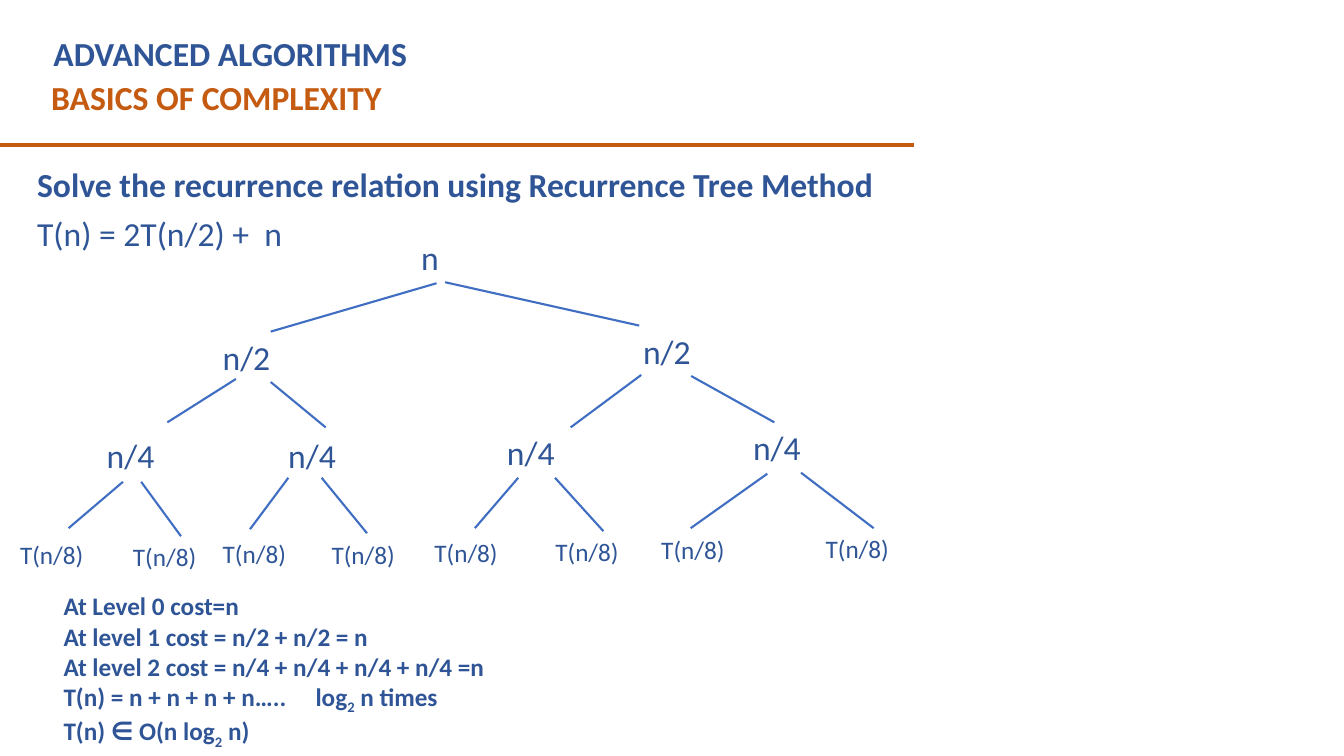
from dataclasses import dataclass

from lxml import etree
from pptx import Presentation
from pptx.dml.color import RGBColor
from pptx.enum.shapes import MSO_CONNECTOR
from pptx.enum.text import MSO_ANCHOR, MSO_AUTO_SIZE, PP_ALIGN
from pptx.oxml.ns import qn
from pptx.util import Inches, Pt

STRAIGHT = MSO_CONNECTOR.STRAIGHT
TOP, MIDDLE = MSO_ANCHOR.TOP, MSO_ANCHOR.MIDDLE
LEFT, JUSTIFY = PP_ALIGN.LEFT, PP_ALIGN.JUSTIFY
NO_AUTO_SIZE = MSO_AUTO_SIZE.NONE
TOP_SITE, BOTTOM_SITE = 0, 2

FONT = "Calibri"
BLUE, ORANGE, BRANCH_BLUE = "2F5597", "C55A11", "3F6EC2"
LOG_TAB = 2.55

Point = tuple[float, float]


@dataclass
class Node:
    """Tree node; a branch end left out is joined to the label's middle."""
    left: float
    top: float
    branch_start: Point | None = None
    branch_end: Point | None = None


@dataclass
class Level:
    label: str
    size: int
    height: float
    width: float
    nodes: list[Node]


LEVELS = [
    Level("n", 24, 0.5, 0.67, [Node(4.08, 2.3)]),
    Level("n/2", 24, 0.5, 1.15, [
        Node(2.11, 3.29, (4.33, 2.81)),
        Node(6.28, 3.23, None, (6.34, 3.23)),
    ]),
    Level("n/4", 24, 0.5, 1.15, [
        Node(0.96, 4.27, (2.34, 3.76), (1.66, 4.19)),
        Node(2.76, 4.27, None, (3.23, 4.24)),
        Node(4.93, 4.24, (6.36, 3.72), (5.66, 4.24)),
        Node(7.37, 4.19, None, (7.68, 4.19)),
    ]),
    Level("T(n/8)", 18, 0.4, 1.15, [
        Node(0.1, 5.3, (1.22, 4.78), (0.68, 5.24)),
        Node(1.22, 5.32, (1.4, 4.78)),
        Node(2.11, 5.29, (2.86, 4.74), (2.48, 5.25)),
        Node(3.19, 5.3, (3.19, 4.74), (3.64, 5.29)),
        Node(4.21, 5.28, (5.14, 4.74), (4.71, 5.24)),
        Node(5.41, 5.27),
        Node(6.46, 5.25, (7.61, 4.7), (6.85, 5.24)),
        Node(8.09, 5.24),
    ]),
]

# Every second part of a line is a subscript
COST_LINES = [
    ["At Level 0 cost=n"],
    ["At level 1 cost = n/2 + n/2 = n"],
    ["At level 2 cost = n/4 + n/4 + n/4 + n/4 =n"],
    ["T(n) = n + n + n + n…..\tlog", "2", " n times"],
    ["T(n) ∈ O(n log", "2", " n)"],
]


def color(value: str) -> RGBColor:
    return RGBColor.from_string(value)


def place(shape, left: float, top: float, width: float, height: float) -> None:
    shape.left, shape.top = Inches(left), Inches(top)
    shape.width, shape.height = Inches(width), Inches(height)


def format_frame(shape, anchor=TOP, vertical_inset: float = 0.05) -> None:
    frame = shape.text_frame
    frame.word_wrap = True
    frame.auto_size = NO_AUTO_SIZE
    frame.vertical_anchor = anchor
    frame.margin_left = frame.margin_right = Inches(0.1)
    frame.margin_top = frame.margin_bottom = Inches(vertical_inset)


def format_paragraph(paragraph, size: int, value: str = BLUE, bold: bool = False,
                     alignment=LEFT) -> None:
    paragraph.alignment = alignment
    paragraph.space_before = Pt(0)
    font = paragraph.font
    font.name, font.size, font.bold = FONT, Pt(size), bold
    font.color.rgb = color(value)


def add_label(slide, text: str, box: tuple[float, float, float, float], size: int,
              value: str = BLUE, bold: bool = False):
    label = slide.shapes.add_textbox(*map(Inches, box))
    format_frame(label)
    paragraph = label.text_frame.paragraphs[0]
    paragraph.text = text
    format_paragraph(paragraph, size, value, bold)
    return label


def add_line(slide, start: Point, end: Point, value: str, width: float):
    line = slide.shapes.add_connector(STRAIGHT, *map(Inches, (*start, *end)))
    line.line.color.rgb = color(value)
    line.line.width = Pt(width)
    etree.SubElement(line._element.spPr, qn("a:effectLst"))
    return line


def add_heading(slide) -> None:
    title = slide.shapes.title
    place(title, 0.43, 0.28, 8.2, 0.5)
    format_frame(title)
    title.text_frame.text = "ADVANCED ALGORITHMS"
    format_paragraph(title.text_frame.paragraphs[0], 24, bold=True)
    add_label(slide, "BASICS OF COMPLEXITY", (0.41, 0.71, 8.75, 0.5), 24, ORANGE, True)
    add_line(slide, (-0.01, 1.44), (9.07, 1.44), ORANGE, 3)


def add_problem(slide) -> None:
    problem = slide.shapes.add_textbox(*map(Inches, (0.17, 1.43, 9.07, 1.28)))
    format_frame(problem, MIDDLE, 0)
    problem.text_frame.text = ("Solve the recurrence relation using Recurrence Tree Method\n"
                               "T(n) = 2T(n/2) +  n")
    for index, paragraph in enumerate(problem.text_frame.paragraphs):
        format_paragraph(paragraph, 24, bold=index == 0, alignment=JUSTIFY)
        paragraph.space_after = Pt(6)
        paragraph._p.get_or_add_pPr().set("marL", str(Inches(0.1)))


def add_tree(slide) -> None:
    parents = []
    for level in LEVELS:
        labels = []
        for index, node in enumerate(level.nodes):
            box = (node.left, node.top, level.width, level.height)
            label = add_label(slide, level.label, box, level.size)
            labels.append(label)
            if not parents:
                continue
            branch = add_line(slide, node.branch_start or (0, 0),
                              node.branch_end or (0, 0), BRANCH_BLUE, 1.5)
            if node.branch_start is None:
                branch.begin_connect(parents[index // 2], BOTTOM_SITE)
            if node.branch_end is None:
                branch.end_connect(label, TOP_SITE)
        parents = labels


def add_costs(slide) -> None:
    body = slide.placeholders[1]
    place(body, 0.53, 5.81, 8.13, 1.68)
    format_frame(body)
    frame = body.text_frame
    for index, parts in enumerate(COST_LINES):
        paragraph = frame.add_paragraph() if index else frame.paragraphs[0]
        properties = paragraph._p.get_or_add_pPr()
        properties.set("marL", "0")
        properties.set("indent", "0")
        etree.SubElement(properties, qn("a:buNone"))
        if "\t" in parts[0]:
            tabs = etree.SubElement(properties, qn("a:tabLst"))
            etree.SubElement(tabs, qn("a:tab"), pos=str(Inches(LOG_TAB)), algn="l")
        format_paragraph(paragraph, 18, bold=True)
        for position, text in enumerate(parts):
            run = paragraph.add_run()
            run.text = text
            if position % 2:
                run._r.get_or_add_rPr().set("baseline", "-25000")


def main() -> None:
    presentation = Presentation()
    presentation.slide_width = Inches(13.33)
    presentation.slide_height = Inches(7.5)
    slide = presentation.slides.add_slide(presentation.slide_layouts[1])
    add_heading(slide)
    add_problem(slide)
    add_tree(slide)
    add_costs(slide)
    presentation.save("out.pptx")


if __name__ == "__main__":
    main()
